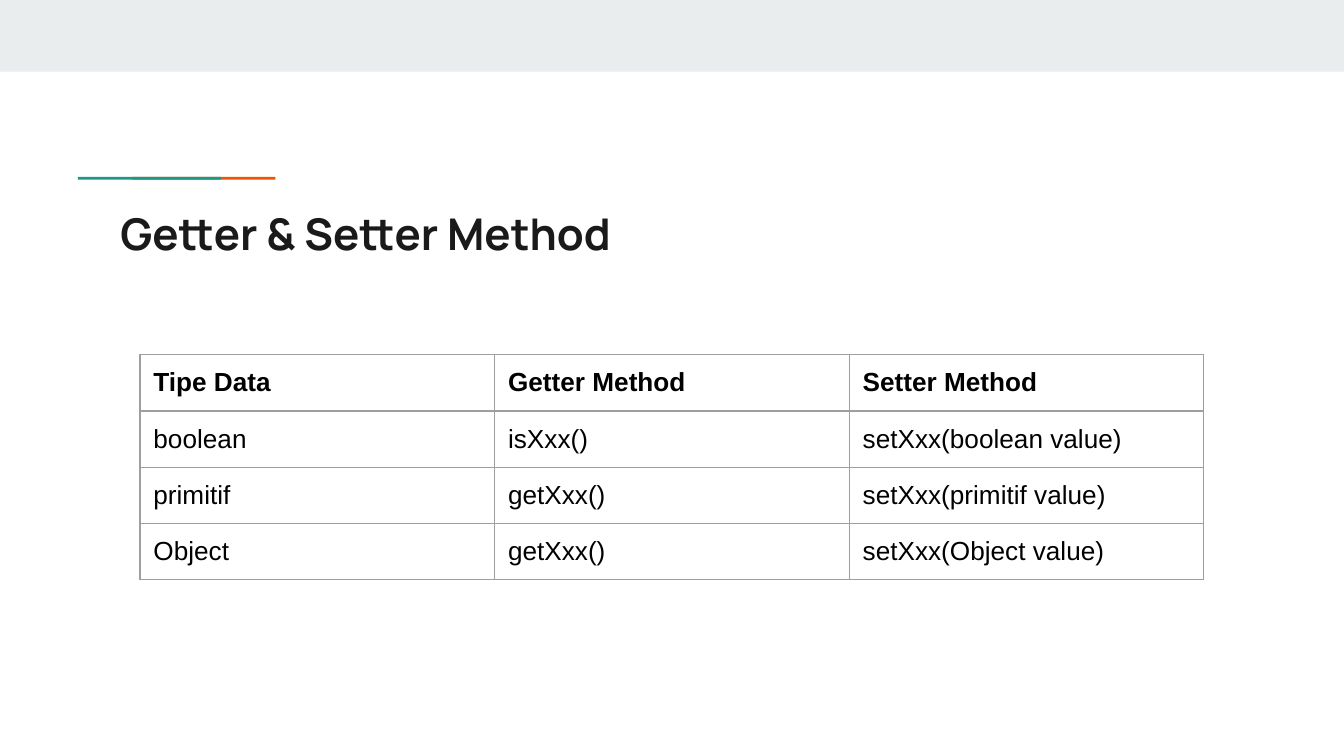
from dataclasses import dataclass

import pptx
import pptx.dml.color
import pptx.enum.shapes
import pptx.enum.text
import pptx.oxml.ns
import pptx.util
from lxml import etree

Pt = pptx.util.Pt
INSET = 7.2
CELL_BOTTOM = 6.1  # keeps the rows at their set height


@dataclass
class Bar:
    left: float
    top: float
    width: float
    height: float
    color: str


BARS = [
    Bar(0, 0, 720, 38.4, "E9EDEE"),  # top band
    Bar(71, 94.8, 76.6, 1.5, "EB5600"),  # accent line, teal over orange
    Bar(41.8, 94.8, 76.6, 1.5, "1A9988"),
]
ROWS = [
    ("Tipe Data", "Getter Method", "Setter Method"),
    ("boolean", "isXxx()", "setXxx(boolean value)"),
    ("primitif", "getXxx()", "setXxx(primitif value)"),
    ("Object", "getXxx()", "setXxx(Object value)"),
]


def rgb(color: str) -> pptx.dml.color.RGBColor:
    return pptx.dml.color.RGBColor.from_string(color)


def draw_bar(page, bar: Bar) -> None:
    shape = page.shapes.add_shape(
        pptx.enum.shapes.MSO_SHAPE.RECTANGLE,
        Pt(bar.left), Pt(bar.top), Pt(bar.width), Pt(bar.height))
    shape.shadow.inherit = False
    shape.fill.solid()
    shape.fill.fore_color.rgb = rgb(bar.color)
    shape.line.fill.background()


def write(frame, text: str, name: str, size: float, color: str, bold: bool) -> None:
    """Fill a text frame with one formatted line."""
    frame.text = text
    font = frame.paragraphs[0].runs[0].font
    font.name, font.size, font.bold = name, Pt(size), bold
    font.color.rgb = rgb(color)


def set_margins(holder, bottom: float) -> None:
    """Set the insets of a text frame or a table cell."""
    holder.margin_left = holder.margin_right = holder.margin_top = Pt(INSET)
    holder.margin_bottom = Pt(bottom)
    holder.vertical_anchor = pptx.enum.text.MSO_ANCHOR.TOP


def outline_cell(cell, color: str, width: float) -> None:
    qn = pptx.oxml.ns.qn
    properties = cell._tc.get_or_add_tcPr()
    for side in ("a:lnL", "a:lnR", "a:lnT", "a:lnB"):
        line = etree.SubElement(properties, qn(side), w=str(Pt(width)))
        fill = etree.SubElement(line, qn("a:solidFill"))
        etree.SubElement(fill, qn("a:srgbClr"), val=color)


def draw_table(page, left: float, top: float, column: float, row: float) -> None:
    table = page.shapes.add_table(
        len(ROWS), len(ROWS[0]), Pt(left), Pt(top),
        Pt(column * len(ROWS[0])), Pt(row * len(ROWS))).table
    table.first_row = table.horz_banding = False
    for row_index, texts in enumerate(ROWS):
        for column_index, text in enumerate(texts):
            cell = table.cell(row_index, column_index)
            write(cell.text_frame, text, "Arial", 14, "000000", bold=row_index == 0)
            set_margins(cell, CELL_BOTTOM)
            outline_cell(cell, "9E9E9E", 0.75)
            cell.fill.background()


def main() -> None:
    deck = pptx.Presentation()
    deck.slide_width, deck.slide_height = Pt(720), Pt(405)
    page = deck.slides.add_slide(deck.slide_layouts[6])

    # Band and accent line
    for bar in BARS:
        draw_bar(page, bar)

    # Title
    box = page.shapes.add_textbox(Pt(57.4), Pt(103.7), Pt(605.5), Pt(42.5))
    box.text_frame.word_wrap = True
    write(box.text_frame, "Getter & Setter Method", "Manrope", 23.4, "1A1A1A", bold=True)
    set_margins(box.text_frame, INSET)

    # Table of accessor names
    draw_table(page, left=75, top=190, column=190, row=30.15)

    deck.save("out.pptx")


if __name__ == "__main__":
    main()
